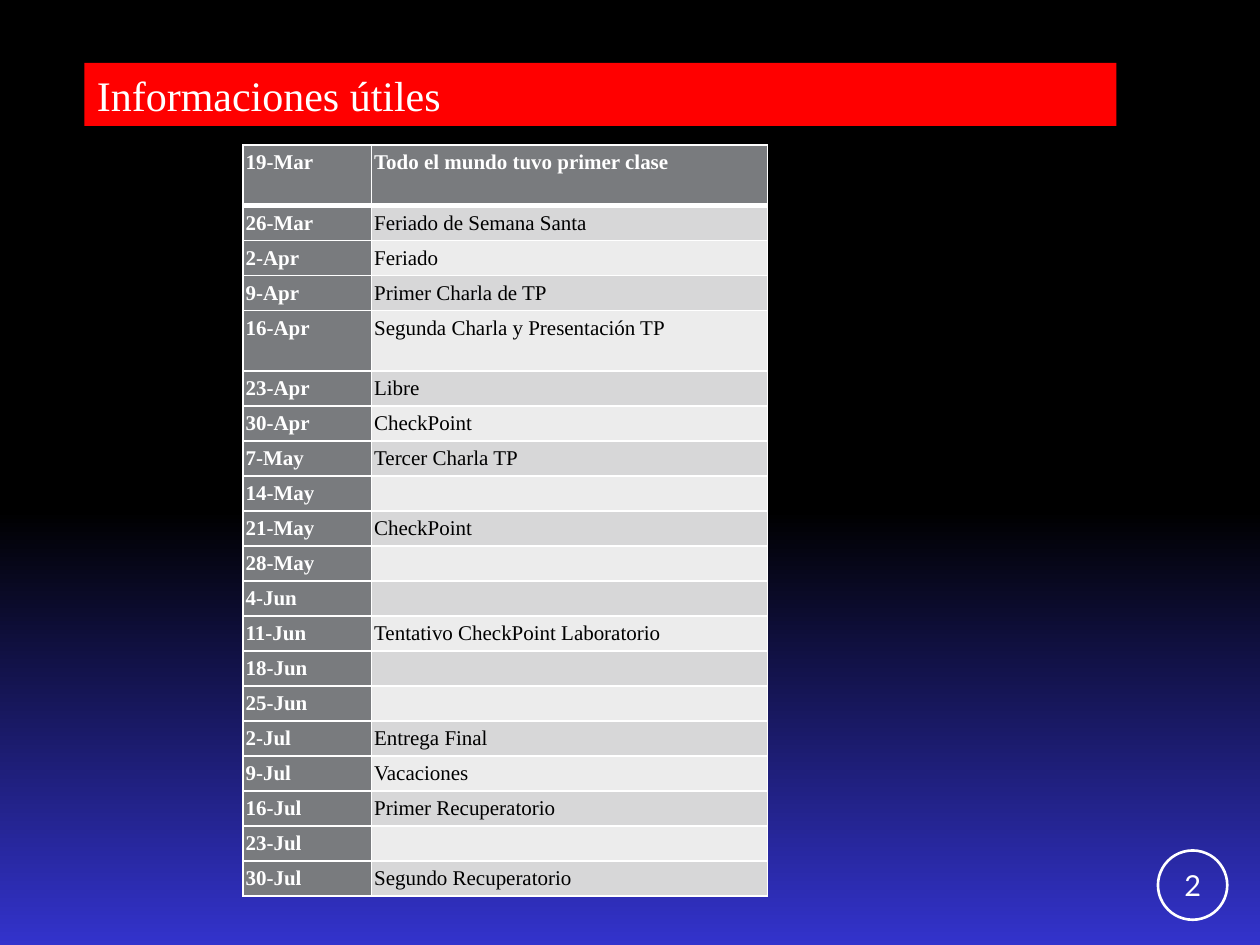
from dataclasses import dataclass

from lxml.etree import SubElement
from pptx import Presentation
from pptx.dml.color import RGBColor
from pptx.enum.shapes import MSO_SHAPE
from pptx.enum.text import MSO_ANCHOR, PP_ALIGN
from pptx.oxml.ns import qn
from pptx.util import Inches, Pt

COLORS = {
    "black": "000000", "blue": "3333CC", "red": "FF0000", "white": "FFFFFF",
    "head": "797B7E", "dark": "D7D7D8", "light": "ECECEC",
}
SERIF = "Times New Roman"


@dataclass
class Week:
    date: str
    topic: str = ""
    tall: bool = False


WEEKS = [
    Week("19-Mar", "Todo el mundo tuvo primer clase", True),
    Week("26-Mar", "Feriado de Semana Santa"),
    Week("2-Apr", "Feriado"),
    Week("9-Apr", "Primer Charla de TP"),
    Week("16-Apr", "Segunda Charla y Presentación TP", True),
    Week("23-Apr", "Libre"),
    Week("30-Apr", "CheckPoint"),
    Week("7-May", "Tercer Charla TP"),
    Week("14-May"),
    Week("21-May", "CheckPoint"),
    Week("28-May"),
    Week("4-Jun"),
    Week("11-Jun", "Tentativo CheckPoint Laboratorio"),
    Week("18-Jun"),
    Week("25-Jun"),
    Week("2-Jul", "Entrega Final"),
    Week("9-Jul", "Vacaciones"),
    Week("16-Jul", "Primer Recuperatorio"),
    Week("23-Jul"),
    Week("30-Jul", "Segundo Recuperatorio"),
]


def rgb(name: str) -> RGBColor:
    return RGBColor.from_string(COLORS[name])


def write(para, text: str, color: str, **style) -> None:
    run = para.add_run()
    run.text = text
    run.font.color.rgb = rgb(color)
    for key, value in style.items():
        setattr(run.font, key, value)


def add_border(cell, top: float, bottom: float) -> None:
    """Draw white cell edges; call before the fill, which must follow in the XML."""
    props = cell._tc.get_or_add_tcPr()
    for side, width in {"L": 1, "R": 1, "T": top, "B": bottom}.items():
        line = SubElement(props, qn(f"a:ln{side}"), w=str(Pt(width)))
        fill = SubElement(line, qn("a:solidFill"))
        SubElement(fill, qn("a:srgbClr"), val=COLORS["white"])


def fill_cell(cell, text: str, row: int, head: bool) -> None:
    add_border(cell, top=3 if row == 1 else 1, bottom=3 if row == 0 else 1)
    cell.fill.solid()
    band = "dark" if row % 2 else "light"
    cell.fill.fore_color.rgb = rgb("head" if head else band)
    for side in ("left", "right", "top", "bottom"):
        setattr(cell, f"margin_{side}", Inches(0.02))
    para = cell.text_frame.paragraphs[0]
    para.alignment, para.line_spacing = PP_ALIGN.LEFT, 1.15
    if text:
        write(para, text, "white" if head else "black",
              size=Pt(12), name=SERIF, bold=head)
    else:
        # An empty cell needs its own text size, or the row grows.
        SubElement(para._p, qn("a:endParaRPr"), sz="1200")


def add_dates(slide, weeks: list[Week]) -> None:
    height, tall = 5.97, 0.48
    count = sum(week.tall for week in weeks)
    short = (height - count * tall) / (len(weeks) - count)
    table = slide.shapes.add_table(
        len(weeks), 2, Inches(1.93), Inches(1.15), Inches(4.16), Inches(height)
    ).table
    for col, width in zip(table.columns, (1.02, 3.14)):
        col.width = Inches(width)
    for row, week in enumerate(weeks):
        table.rows[row].height = Inches(tall if week.tall else short)
        fill_cell(table.cell(row, 0), week.date, row, True)
        fill_cell(table.cell(row, 1), week.topic, row, row == 0)


def add_title(slide, text: str) -> None:
    bar = slide.shapes.add_shape(
        MSO_SHAPE.RECTANGLE, Inches(0.67), Inches(0.5), Inches(8.19), Inches(0.5))
    bar.shadow.inherit = False
    bar.fill.solid()
    bar.fill.fore_color.rgb = rgb("red")
    bar.line.fill.background()
    frame = bar.text_frame
    frame.vertical_anchor = MSO_ANCHOR.TOP
    frame.paragraphs[0].alignment = PP_ALIGN.LEFT
    write(frame.paragraphs[0], text, "white", size=Pt(24), name=SERIF)


def add_number(slide, text: str) -> None:
    ring = slide.shapes.add_shape(
        MSO_SHAPE.OVAL, Inches(9.19), Inches(6.75), Inches(0.55), Inches(0.55))
    ring.shadow.inherit = False
    ring.fill.background()
    ring.line.color.rgb = rgb("white")
    ring.line.width = Pt(1.5)
    frame = ring.text_frame
    frame.vertical_anchor = MSO_ANCHOR.MIDDLE
    for side in ("left", "right", "top", "bottom"):
        setattr(frame, f"margin_{side}", Inches(0.01))
    frame.paragraphs[0].alignment = PP_ALIGN.CENTER
    write(frame.paragraphs[0], text, "white", size=Pt(16.5), name="Lato")


def set_back(slide) -> None:
    fill = slide.background.fill
    fill.gradient()
    fill.gradient_angle = 270
    stops = (("black", 0.54), ("blue", 1.0))
    for stop, (color, place) in zip(fill.gradient_stops, stops):
        stop.color.rgb = rgb(color)
        stop.position = place


def main() -> None:
    deck = Presentation()
    deck.slide_width, deck.slide_height = Inches(10), Inches(7.5)
    slide = deck.slides.add_slide(deck.slide_layouts[6])
    set_back(slide)
    add_title(slide, "Informaciones útiles")
    add_number(slide, "2")
    add_dates(slide, WEEKS)
    deck.save("out.pptx")


if __name__ == "__main__":
    main()
